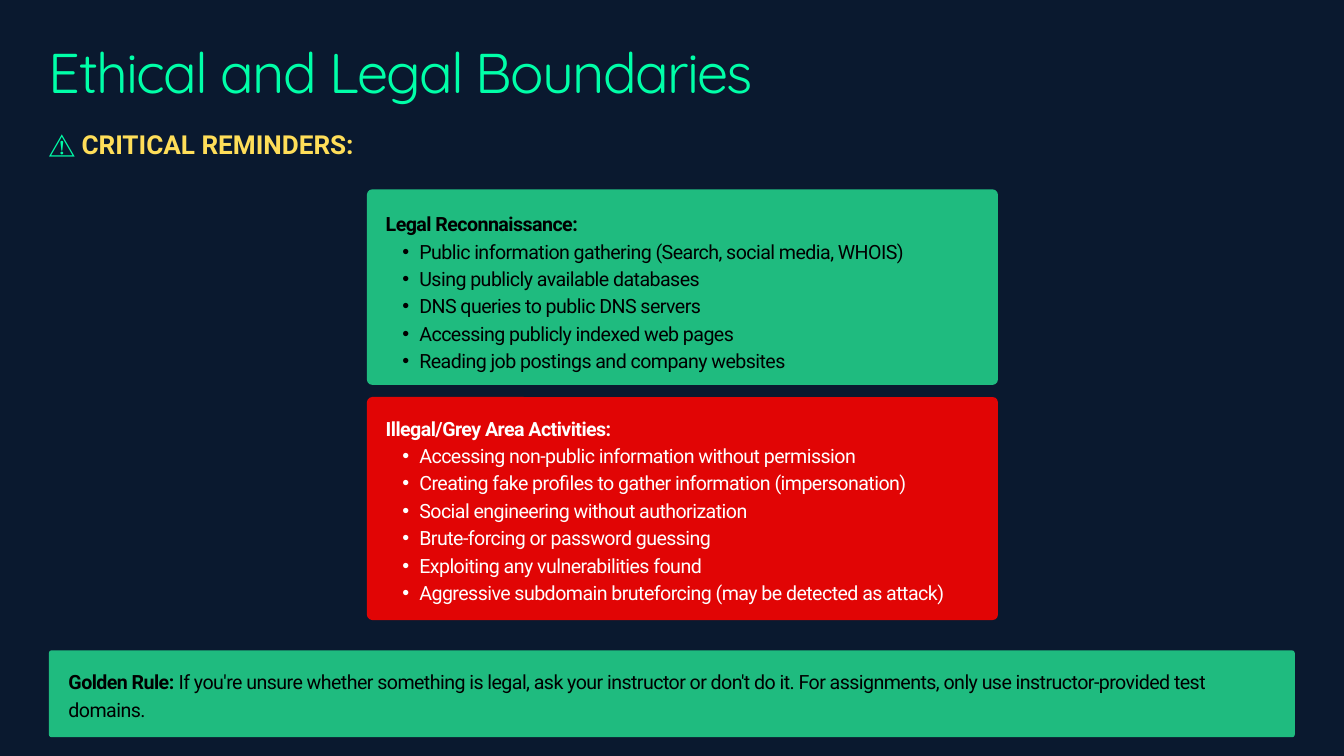
import dataclasses

import lxml.etree
import pptx
import pptx.dml.color
import pptx.enum.shapes
import pptx.enum.text
import pptx.oxml.ns
import pptx.util

Cm = pptx.util.Cm
Pt = pptx.util.Pt
Anchor = pptx.enum.text.MSO_ANCHOR


@dataclasses.dataclass(frozen=True)
class Theme:
    """Colours, fonts and type sizes of the deck."""
    night: str = "0A192F"
    mint: str = "00FFA8"
    yellow: str = "FFDE59"
    green: str = "1FBB7F"
    red: str = "E10505"
    black: str = "000000"
    white: str = "FFFFFF"
    title_font: str = "Quicksand"
    body_font: str = "Roboto"
    title_size: float = 60
    heading_size: float = 28
    body_size: float = 21
    leading: float = 1.4


THEME = Theme()
LEGAL = [
    "Public information gathering (Search, social media, WHOIS)",
    "Using publicly available databases",
    "DNS queries to public DNS servers",
    "Accessing publicly indexed web pages",
    "Reading job postings and company websites",
]
ILLEGAL = [
    "Accessing non-public information without permission",
    "Creating fake profiles to gather information (impersonation)",
    "Social engineering without authorization",
    "Brute-forcing or password guessing",
    "Exploiting any vulnerabilities found",
    "Aggressive subdomain bruteforcing (may be detected as attack)",
]


def apply(target, values):
    """Set every attribute named in values on target."""
    for name, value in values.items():
        setattr(target, name, value)


def place(shape, box):
    """Move and size a shape to a box of left, top, width and height in cm."""
    apply(shape, dict(zip(("left", "top", "width", "height"), map(Cm, box))))


def prepare_frame(frame, inset=0, anchor=Anchor.TOP):
    """Give a text frame equal margins, wrapping and an anchor."""
    margins = {f"margin_{side}": Cm(inset) for side in ("left", "top", "right", "bottom")}
    apply(frame, {**margins, "word_wrap": True, "vertical_anchor": anchor,
                  "auto_size": pptx.enum.text.MSO_AUTO_SIZE.NONE})


def format_para(para, leading, bullet=False):
    """Set exact line spacing and either a bullet or a flush left edge."""
    apply(para, {"alignment": pptx.enum.text.PP_ALIGN.LEFT, "level": int(bullet),
                 "line_spacing": Pt(leading), "space_before": Pt(0), "space_after": Pt(0)})
    properties = para._p.get_or_add_pPr()
    properties.set("marL", str(Cm(1.27 if bullet else 0)))
    properties.set("indent", str(Cm(-0.64 if bullet else 0)))
    mark = lxml.etree.SubElement(properties, pptx.oxml.ns.qn("a:buChar" if bullet else "a:buNone"))
    if bullet:
        mark.set("char", "•")


def add_span(para, text, colour, size=THEME.body_size, font=THEME.body_font, bold=False, tracking=-0.6):
    """Add a formatted run to a paragraph."""
    span = para.add_run()
    span.text = text
    apply(span.font, {"size": Pt(size), "name": font, "bold": bold})
    span.font.color.rgb = pptx.dml.color.RGBColor.from_string(colour)
    span._r.get_or_add_rPr().set("spc", str(round(tracking * 100)))


def add_panel(page, box, colour, radius):
    """Draw a plain rounded panel with a corner radius in cm."""
    panel = page.shapes.add_shape(pptx.enum.shapes.MSO_SHAPE.ROUNDED_RECTANGLE, *map(Cm, box))
    panel.adjustments[0] = radius / min(box[2:])
    panel.shadow.inherit = False
    panel.fill.solid()
    panel.fill.fore_color.rgb = pptx.dml.color.RGBColor.from_string(colour)
    panel.line.fill.background()
    return panel


def fill_title(title, box):
    """Set the slide title."""
    place(title, box)
    prepare_frame(title.text_frame)
    para = title.text_frame.paragraphs[0]
    format_para(para, THEME.title_size)
    add_span(para, "Ethical and Legal Boundaries", THEME.mint, THEME.title_size,
             THEME.title_font, tracking=-1.8)


def add_reminder(page, box):
    """Add the warning line under the title."""
    frame = page.shapes.add_textbox(*map(Cm, box)).text_frame
    prepare_frame(frame)
    para = frame.paragraphs[0]
    format_para(para, THEME.heading_size * THEME.leading)
    for text, colour in (("⚠️ ", THEME.mint), ("CRITICAL REMINDERS:", THEME.yellow)):
        add_span(para, text, colour, THEME.heading_size, bold=True, tracking=0)


def add_card(page, body, box, heading, items, fill, ink, anchor):
    """Lay a body placeholder with a heading and bullets over a panel."""
    panel = add_panel(page, box, fill, 0.2)
    place(body, box)
    panel._element.addnext(body._element)
    frame = body.text_frame
    prepare_frame(frame, 0.71, anchor)
    for index, text in enumerate([heading, *items]):
        para = frame.add_paragraph() if index else frame.paragraphs[0]
        format_para(para, THEME.body_size * THEME.leading, bullet=index > 0)
        add_span(para, text, ink, bold=index == 0)


def add_golden_rule(page, box):
    """Add the closing rule across the foot of the slide."""
    frame = add_panel(page, box, THEME.green, 0.1).text_frame
    prepare_frame(frame, 0.71, Anchor.MIDDLE)
    para = frame.paragraphs[0]
    format_para(para, THEME.body_size * THEME.leading)
    add_span(para, "Golden Rule: ", THEME.black, bold=True)
    add_span(para, "If you're unsure whether something is legal, ask your instructor or don't do it. "
             "For assignments, only use instructor-provided test domains.", THEME.black)


def build_boundaries(deck):
    """Build the slide on ethical and legal boundaries."""
    page = deck.slides.add_slide(deck.slide_layouts[3])
    page.background.fill.solid()
    page.background.fill.fore_color.rgb = pptx.dml.color.RGBColor.from_string(THEME.night)
    title, legal, illegal = page.placeholders
    left, width = 1.85, 47.09
    card_left, card_width = 13.87, 23.85
    fill_title(title, (left, 1.83, 45.75, 2.57))
    add_reminder(page, (left, 4.67, width, 1.35))
    add_card(page, legal, (card_left, 7.16, card_width, 7.39), "Legal Reconnaissance:",
             LEGAL, THEME.green, THEME.black, Anchor.TOP)
    add_card(page, illegal, (card_left, 15.01, card_width, 8.43), "Illegal/Grey Area Activities:",
             ILLEGAL, THEME.red, THEME.white, Anchor.MIDDLE)
    add_golden_rule(page, (left, 24.59, width, 3.28))


def main():
    """Create and save the deck."""
    deck = pptx.Presentation()
    apply(deck, {"slide_width": Cm(50.8), "slide_height": Cm(28.58)})
    build_boundaries(deck)
    deck.save("out.pptx")


if __name__ == "__main__":
    main()
